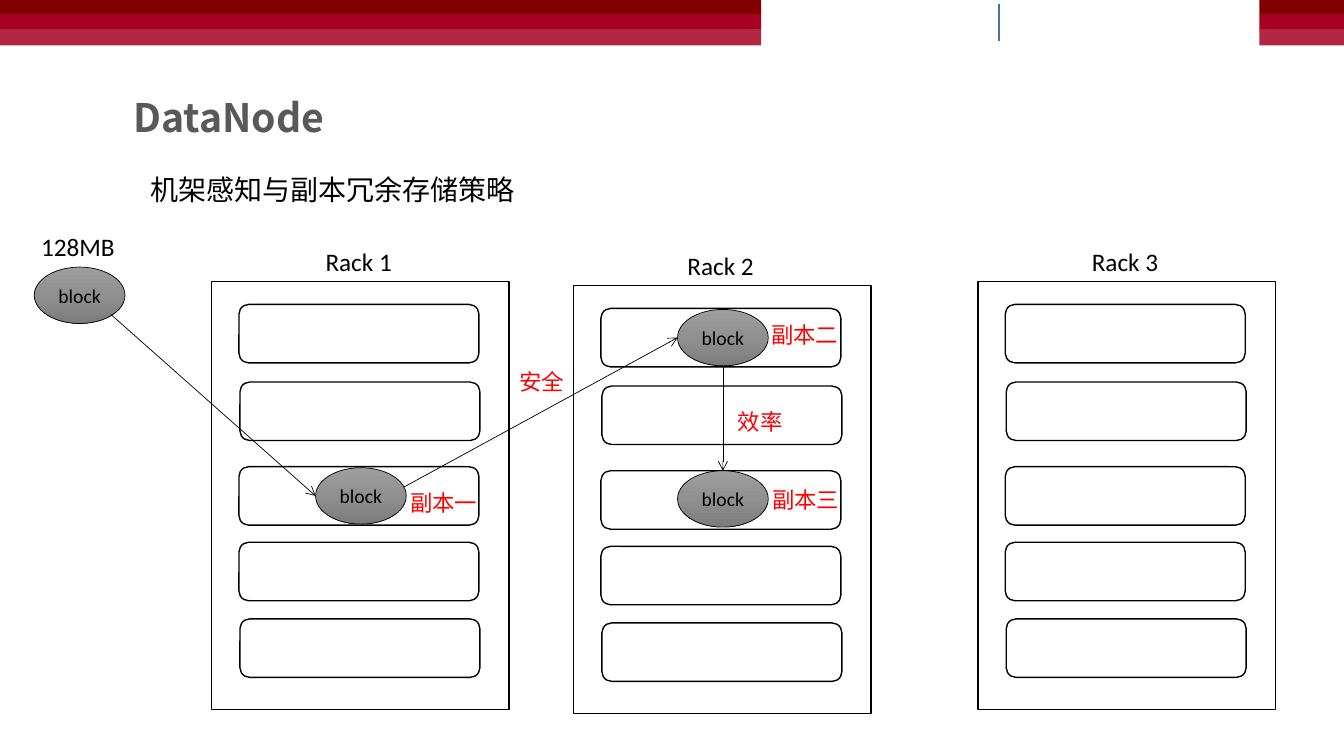
from copy import deepcopy

from lxml import etree
from pptx import Presentation
from pptx.dml.color import RGBColor
from pptx.enum.shapes import MSO_CONNECTOR, MSO_SHAPE
from pptx.enum.text import MSO_ANCHOR, MSO_AUTO_SIZE, PP_ALIGN
from pptx.oxml.ns import qn
from pptx.util import Inches, Pt

RECT, ROUNDED, OVAL = MSO_SHAPE.RECTANGLE, MSO_SHAPE.ROUNDED_RECTANGLE, MSO_SHAPE.OVAL
STRAIGHT = MSO_CONNECTOR.STRAIGHT
LEFT, CENTER = PP_ALIGN.LEFT, PP_ALIGN.CENTER
TOP, MIDDLE = MSO_ANCHOR.TOP, MSO_ANCHOR.MIDDLE
GROW = MSO_AUTO_SIZE.SHAPE_TO_FIT_TEXT

LATIN, CJK = "Calibri", "Noto Sans CJK SC"
COLORS = {
    "maroon": "800000", "crimson": "A50021", "rose": "B22642", "divider": "43739E",
    "title": "595959", "black": "000000", "white": "FFFFFF", "red": "FF0000",
    "block_top": "9D9D9D", "block_mid": "909090", "block_bottom": "7C7C7C",
}


def rgb(name):
    return RGBColor.from_string(COLORS[name])


def write(frame, text, size=18, font=LATIN, color="black", bold=False,
          align=LEFT, anchor=TOP):
    """Put one formatted paragraph into a text frame."""
    frame.word_wrap = True
    frame.vertical_anchor = anchor
    paragraph = frame.paragraphs[0]
    paragraph.alignment = align
    paragraph.space_before = Pt(0)
    run = paragraph.add_run()
    run.text = text
    run.font.size = Pt(size)
    run.font.bold = bold
    run.font.name = font
    run.font.color.rgb = rgb(color)
    east_asian = etree.SubElement(run.font._element, qn("a:ea"))
    east_asian.set("typeface", CJK)
    return paragraph


class RackSlide:
    def __init__(self, presentation):
        self.slide = presentation.slides.add_slide(presentation.slide_layouts[1])
        self.shapes = self.slide.shapes

    def placeholder(self, index, text, box, **style):
        holder = self.slide.placeholders[index]
        holder.left, holder.top, holder.width, holder.height = map(Inches, box)
        paragraph = write(holder.text_frame, text, font=CJK, **style)
        holder.text_frame.auto_size = GROW
        properties = paragraph._p.get_or_add_pPr()
        properties.set("marL", "0")
        properties.set("indent", "0")
        etree.SubElement(properties, qn("a:buNone"))

    def box(self, kind, x, y, width, height, fill="white", line=None, weight=1):
        shape = self.shapes.add_shape(kind, *map(Inches, (x, y, width, height)))
        shape.shadow.inherit = False
        shape.fill.solid()
        shape.fill.fore_color.rgb = rgb(fill)
        if line:
            shape.line.color.rgb = rgb(line)
            shape.line.width = Pt(weight)
        else:
            shape.line.fill.background()
        return shape

    def label(self, text, x, y, width, height, **style):
        label = self.shapes.add_textbox(*map(Inches, (x, y, width, height)))
        write(label.text_frame, text, **style)
        label.text_frame.auto_size = GROW

    def line(self, start, end, color="black", weight=0.5, arrow=True):
        line = self.shapes.add_connector(STRAIGHT, *map(Inches, start + end))
        line.line.color.rgb = rgb(color)
        line.line.width = Pt(weight)
        if arrow:
            etree.SubElement(line.line._get_or_add_ln(), qn("a:tailEnd")).set("type", "arrow")
        etree.SubElement(line._element.spPr, qn("a:effectLst"))

    def rack(self, name, x, y):
        self.box(RECT, x, y, 2.95, 4.25, line="black")
        for dx, dy in ((0.27, 0.23), (0.28, 1), (0.27, 1.84), (0.27, 2.59), (0.28, 3.35)):
            self.box(ROUNDED, x + dx, y + dy, 2.38, 0.58, line="black")
        self.label(name, x + 1.03, y - 0.4, 1.11, 0.4)

    def block(self, x, y):
        block = self.box(OVAL, x, y, 0.9, 0.56, line="black", weight=0.5)
        block.fill.gradient()
        block.fill.gradient_angle = 270
        stops = block._element.spPr.find(qn("a:gradFill")).find(qn("a:gsLst"))
        middle = deepcopy(stops[0])
        middle.set("pos", "50000")
        stops.insert(1, middle)
        for stop, color in zip(block.fill.gradient_stops,
                               ("block_top", "block_mid", "block_bottom")):
            stop.color.rgb = rgb(color)
        frame = block.text_frame
        frame.margin_left = frame.margin_right = 0
        write(frame, "block", size=14, align=CENTER, anchor=MIDDLE)


def main():
    presentation = Presentation()
    presentation.slide_width, presentation.slide_height = Inches(13.33), Inches(7.5)
    page = RackSlide(presentation)

    # Header bands and divider
    for x, width in ((0, 7.55), (12.49, 0.84)):
        for y, height, color in ((0, 0.14, "maroon"), (0.14, 0.16, "crimson"),
                                 (0.29, 0.16, "rose")):
            page.box(RECT, x, y, width, height, fill=color)
    page.line((9.91, 0.04), (9.91, 0.41), color="divider", weight=1, arrow=False)

    # Title and topic
    page.placeholder(0, "DataNode", (1.22, 0.88, 6.93, 0.57),
                     size=28, color="title", bold=True)
    page.placeholder(1, "机架感知与副本冗余存储策略", (1.39, 1.66, 9.75, 0.44), size=20)

    # Racks
    for name, x, y in (("Rack 1", 2.1, 2.79), ("Rack 2", 5.69, 2.83), ("Rack 3", 9.7, 2.79)):
        page.rack(name, x, y)

    # Source block and its three replicas
    for x, y in ((0.34, 2.65), (3.13, 4.64), (6.72, 3.07), (6.72, 4.67)):
        page.block(x, y)
    page.label("128MB", 0.31, 2.25, 1.17, 0.4)

    # Replication steps
    for start, end in (((1.1, 3.12), (3.13, 4.92)), ((4.01, 4.83), (6.72, 3.35)),
                       ((7.17, 3.63), (7.17, 4.67))):
        page.line(start, end)

    # Replica names and reasons
    for text, x, y, width in (("副本一", 3.97, 4.8, 1.14), ("副本二", 7.55, 3.14, 1.02),
                              ("副本三", 7.56, 4.77, 1.42), ("安全", 5.05, 3.6, 0.85),
                              ("效率", 7.22, 4, 1.42)):
        page.label(text, x, y, width, 0.37, size=16, color="red")

    presentation.save("out.pptx")


if __name__ == "__main__":
    main()
